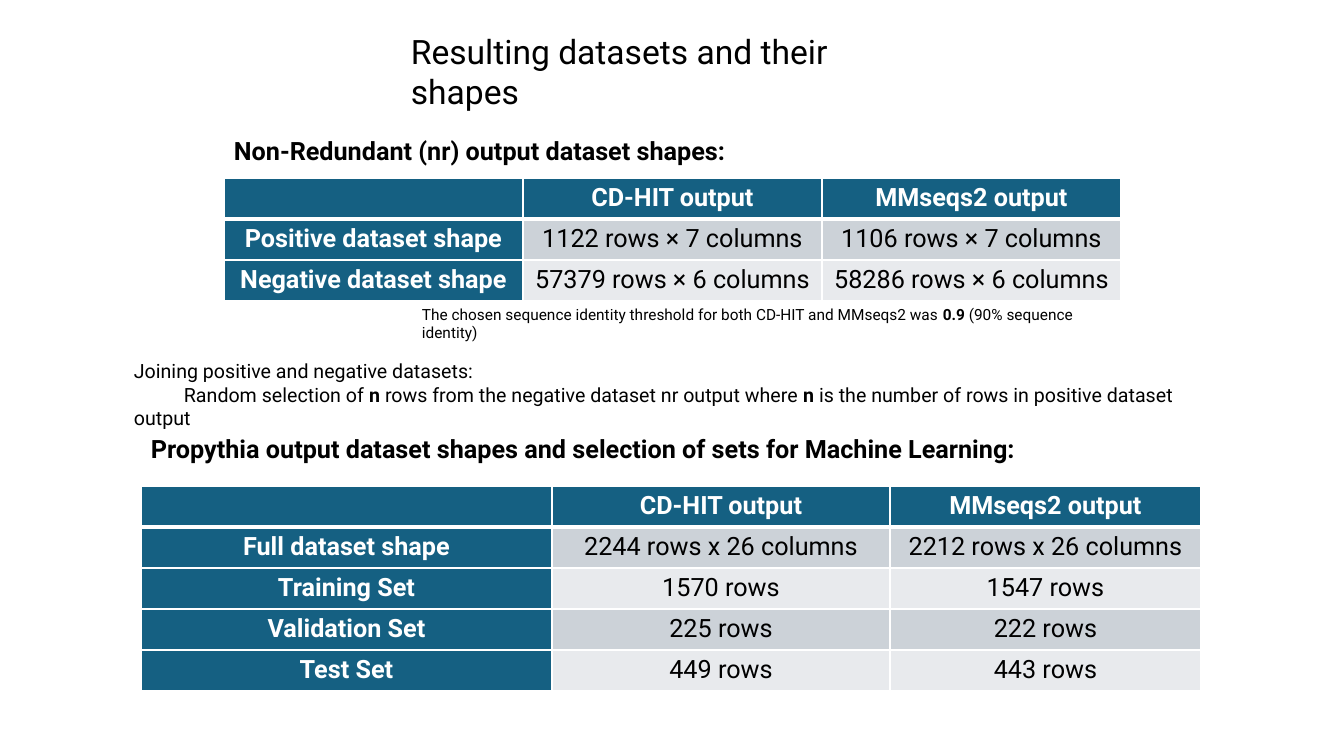
from dataclasses import dataclass

from lxml import etree
from pptx import Presentation
from pptx.dml.color import RGBColor
from pptx.enum.text import PP_ALIGN
from pptx.oxml.ns import qn
from pptx.util import Pt

CENTER = PP_ALIGN.CENTER
LEFT = PP_ALIGN.LEFT
PX = 914400 / 100.8


@dataclass(frozen=True)
class Theme:
    font: str = "Roboto"
    ink: str = "000000"
    white: str = "FFFFFF"
    blue: str = "156082"
    bands: tuple = ("CCD2D8", "E8EAED")
    title: int = 24
    head: int = 18
    body: int = 14
    note: int = 11
    thin: int = 1
    thick: int = 3


THEME = Theme()
HEADS = ["", "CD-HIT output", "MMseqs2 output"]
ROW = 41

TABLES = [
    dict(at=(141, 486), cols=[411, 338, 311], rows=[
        HEADS,
        ["Full dataset shape", "2244 rows x 26 columns", "2212 rows x 26 columns"],
        ["Training Set", "1570 rows", "1547 rows"],
        ["Validation Set", "225 rows", "222 rows"],
        ["Test Set", "449 rows", "443 rows"],
    ]),
    dict(at=(224, 178), cols=[299] * 3, rows=[
        HEADS,
        ["Positive dataset shape", "1122 rows × 7 columns", "1106 rows × 7 columns"],
        ["Negative dataset shape", "57379 rows × 6 columns", "58286 rows × 6 columns"],
    ]),
]

TEXTS = [
    dict(box=(124, 354, 1095, 57), size=THEME.body, bold=False, indent=50, lines=[
        ["Joining positive and negative datasets:"],
        ["Random selection of ", "n ",
         "rows from the negative dataset nr output where ", "n ",
         "is the number of rows in positive dataset output"],
    ]),
    dict(box=(224, 130, 519, 40), size=THEME.head, bold=True, lines=[
        ["Non-Redundant (nr) output dataset shapes:"],
    ]),
    dict(box=(141, 428, 894, 40), size=THEME.head, bold=True, lines=[
        ["Propythia output dataset shapes and selection of sets for Machine Learning:"],
    ]),
    dict(box=(401, 26, 541, 50), size=THEME.title, bold=False, lines=[
        ["Resulting datasets and their shapes"],
    ]),
    dict(box=(412, 300, 708, 29), size=THEME.note, bold=False, lines=[
        ["The chosen sequence identity threshold for both CD-HIT and MMseqs2 was ",
         "0.9", " (90% sequence identity)"],
    ]),
]


def emu(px):
    return round(px * PX)


def style(para, size, color, bold, align):
    para.alignment = align
    font = para.font
    font.name = THEME.font
    font.size = Pt(size)
    font.bold = bold
    font.color.rgb = RGBColor.from_string(color)


def edge(cell, head):
    props = cell._tc.get_or_add_tcPr()
    for spot, side in enumerate("LRTB"):
        width = THEME.thick if head and side == "B" else THEME.thin
        line = etree.Element(qn(f"a:ln{side}"), w=str(Pt(width)))
        fill = etree.SubElement(line, qn("a:solidFill"))
        etree.SubElement(fill, qn("a:srgbClr"), val=THEME.white)
        props.insert(spot, line)


def grid(slide, at, cols, rows):
    size = sum(cols), ROW * len(rows)
    table = slide.shapes.add_table(len(rows), len(cols), *map(emu, at + size)).table
    for col, width in zip(table.columns, cols):
        col.width = emu(width)
    for r, row in enumerate(rows):
        table.rows[r].height = emu(ROW)
        for c, text in enumerate(row):
            cell = table.cell(r, c)
            label = r == 0 or c == 0
            color = THEME.blue if label else THEME.bands[(r - 1) % 2]
            cell.fill.solid()
            cell.fill.fore_color.rgb = RGBColor.from_string(color)
            edge(cell, r == 0)
            cell.text = text
            ink = THEME.white if label else THEME.ink
            style(cell.text_frame.paragraphs[0], THEME.head, ink, label, CENTER)


def write(slide, box, size, bold, lines, indent=0):
    frame = slide.shapes.add_textbox(*map(emu, box)).text_frame
    frame.word_wrap = True
    for n, parts in enumerate(lines):
        para = frame.add_paragraph() if n else frame.paragraphs[0]
        style(para, size, THEME.ink, bold, LEFT)
        if n and indent:
            para._p.get_or_add_pPr().set("indent", str(emu(indent)))
        for k, part in enumerate(parts):
            run = para.add_run()
            run.text = part
            if k % 2:
                run.font.bold = True


def main():
    deck = Presentation()
    deck.slide_width, deck.slide_height = emu(1344), emu(756)
    slide = deck.slides.add_slide(deck.slide_layouts[6])
    for item in TABLES:
        grid(slide, **item)
    for item in TEXTS:
        write(slide, **item)
    deck.save("out.pptx")


if __name__ == "__main__":
    main()
